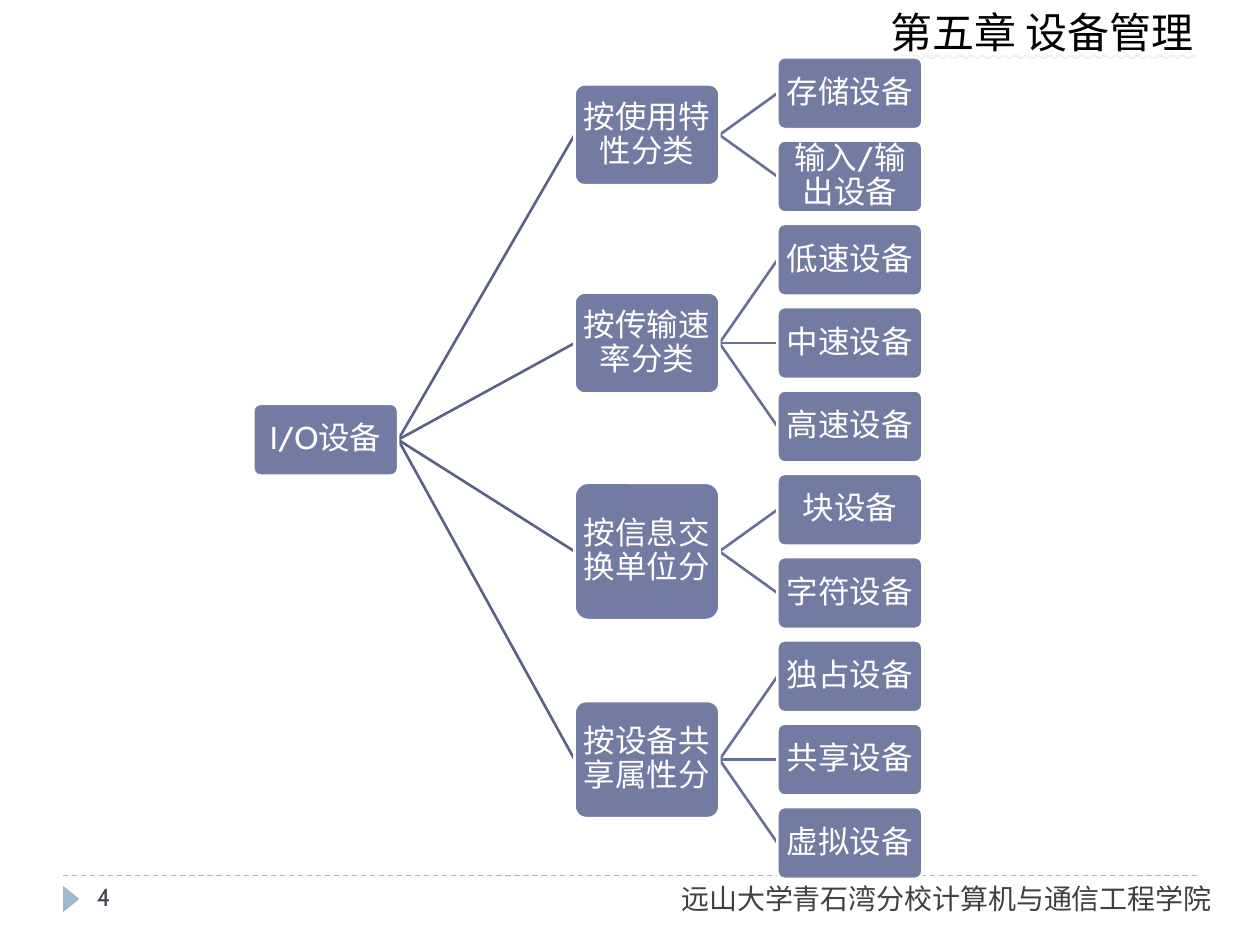
import pptx
import pptx.util
import pptx.dml.color
import pptx.enum.dml
import pptx.enum.shapes
import pptx.enum.text
import lxml.etree
from pptx.util import Inches

COLORS = {
    "node": "727CA3", "root_link": "5B6383", "leaf_link": "677194",
    "accent": "9FB8CD", "white": "FFFFFF", "title": "000000",
    "footer": "404040", "number": "464653", "wave": "C9A6DC",
}
DRAWING = "http://schemas.openxmlformats.org/drawingml/2006/main"
SHAPES = pptx.enum.shapes.MSO_SHAPE
ALIGN = pptx.enum.text.PP_ALIGN
ANCHOR = pptx.enum.text.MSO_ANCHOR


def write(box, text, size, color, frame_format, para_format):
    frame = box.text_frame
    for name, value in frame_format.items():
        setattr(frame, name, value)
    para = frame.paragraphs[0]
    for name, value in para_format.items():
        setattr(para, name, value)
    span = para.add_run()
    span.text = text
    for name, value in {"name": "Cabin", "size": pptx.util.Pt(size)}.items():
        setattr(span.font, name, value)
    span.font.color.rgb = pptx.dml.color.RGBColor.from_string(COLORS[color])
    return span


def link(start, end, color, width):
    line = page.shapes.add_connector(
        pptx.enum.shapes.MSO_CONNECTOR.STRAIGHT,
        Inches(start[0]), Inches(start[1]), Inches(end[0]), Inches(end[1]))
    line.line.color.rgb = pptx.dml.color.RGBColor.from_string(COLORS[color])
    line.line.width = pptx.util.Pt(width)
    properties = line._element.spPr
    lxml.etree.SubElement(properties, f"{{{DRAWING}}}effectLst")
    return line


deck = pptx.Presentation()
deck.slide_width, deck.slide_height = Inches(10), Inches(7.5)
page = deck.slides.add_slide(deck.slide_layouts[6])

# Footer rule and page marker
rule = link((0.5, 6.95), (9.5, 6.95), "accent", 0.75)
rule.line.dash_style = pptx.enum.dml.MSO_LINE.DASH
marker = page.shapes.add_shape(
    SHAPES.ISOSCELES_TRIANGLE, Inches(0.46), Inches(7.07), Inches(0.21), Inches(0.13))
marker.rotation = 90
marker.shadow.inherit = False
marker.fill.solid()
marker.fill.fore_color.rgb = pptx.dml.color.RGBColor.from_string(COLORS["accent"])
marker.line.fill.background()

# Chapter title, footer and page number
captions = [
    ("第五章 设备管理", 24, "title", (6.97, 0, 2.66, 0.5), False),
    ("远山大学青石湾分校计算机与通信工程学院", 16, "footer", (5.31, 6.95, 4.47, 0.37), False),
    ("4", 14, "number", (0.67, 6.95, 2.17, 0.4), True),
]
for text, size, color, place, wrap in captions:
    box = page.shapes.add_textbox(*map(Inches, place))
    span = write(box, text, size, color, {"word_wrap": wrap}, {})
    if color == "title":
        # Wavy underline in its own colour
        span.font.underline = pptx.enum.text.MSO_UNDERLINE.WAVY_DOUBLE_LINE
        wave = lxml.etree.Element(f"{{{DRAWING}}}uFill")
        solid = lxml.etree.SubElement(wave, f"{{{DRAWING}}}solidFill")
        lxml.etree.SubElement(solid, f"{{{DRAWING}}}srgbClr", val=COLORS["wave"])
        span.font._element.find(f"{{{DRAWING}}}solidFill").addnext(wave)

# Classification tree: (label, box height, leaves)
categories = [
    ("按使用特性分类", 0.8, ["存储设备", "输入/输出设备"]),
    ("按传输速率分类", 0.8, ["低速设备", "中速设备", "高速设备"]),
    ("按信息交换单位分", 1.09, ["块设备", "字符设备"]),
    ("按设备共享属性分", 0.93, ["独占设备", "共享设备", "虚拟设备"]),
]
NODE_WIDTH, NODE_HEIGHT = 1.15, 0.57
ROOT_LEFT, CATEGORY_LEFT, LEAF_LEFT = 2.01, 4.56, 6.17
ROOT_MIDDLE, FIRST_LEAF_MIDDLE = 3.49, 0.74
LEAF_STEP = 5.95 / 9

# Each category sits midway down its own leaves
nodes = [("I/O设备", ROOT_LEFT, ROOT_MIDDLE, NODE_HEIGHT)]
leaf_count = 0
for label, height, leaves in categories:
    middles = [FIRST_LEAF_MIDDLE + LEAF_STEP * (leaf_count + i) for i in range(len(leaves))]
    leaf_count += len(leaves)
    center = sum(middles) / len(middles)
    link((ROOT_LEFT + NODE_WIDTH, ROOT_MIDDLE), (CATEGORY_LEFT, center), "root_link", 1.5)
    nodes.append((label, CATEGORY_LEFT, center, height))
    for leaf, middle in zip(leaves, middles):
        link((CATEGORY_LEFT + NODE_WIDTH, center), (LEAF_LEFT, middle), "leaf_link", 1.5)
        nodes.append((leaf, LEAF_LEFT, middle, NODE_HEIGHT))

# Tree boxes over the links
node_frame = {"word_wrap": True, "vertical_anchor": ANCHOR.MIDDLE}
for side in ("left", "right", "top", "bottom"):
    node_frame[f"margin_{side}"] = Inches(0.03)
node_para = {"alignment": ALIGN.CENTER, "line_spacing": 0.9, "space_after": pptx.util.Pt(6.3)}
for label, left, middle, height in nodes:
    box = page.shapes.add_shape(
        SHAPES.ROUNDED_RECTANGLE, Inches(left), Inches(middle - height / 2),
        Inches(NODE_WIDTH), Inches(height))
    box.adjustments[0] = 0.1
    box.shadow.inherit = False
    box.fill.solid()
    box.fill.fore_color.rgb = pptx.dml.color.RGBColor.from_string(COLORS["node"])
    box.line.color.rgb = pptx.dml.color.RGBColor.from_string(COLORS["white"])
    box.line.width = pptx.util.Pt(1.5)
    write(box, label, 18, "white", node_frame, node_para)

deck.save("out.pptx")
